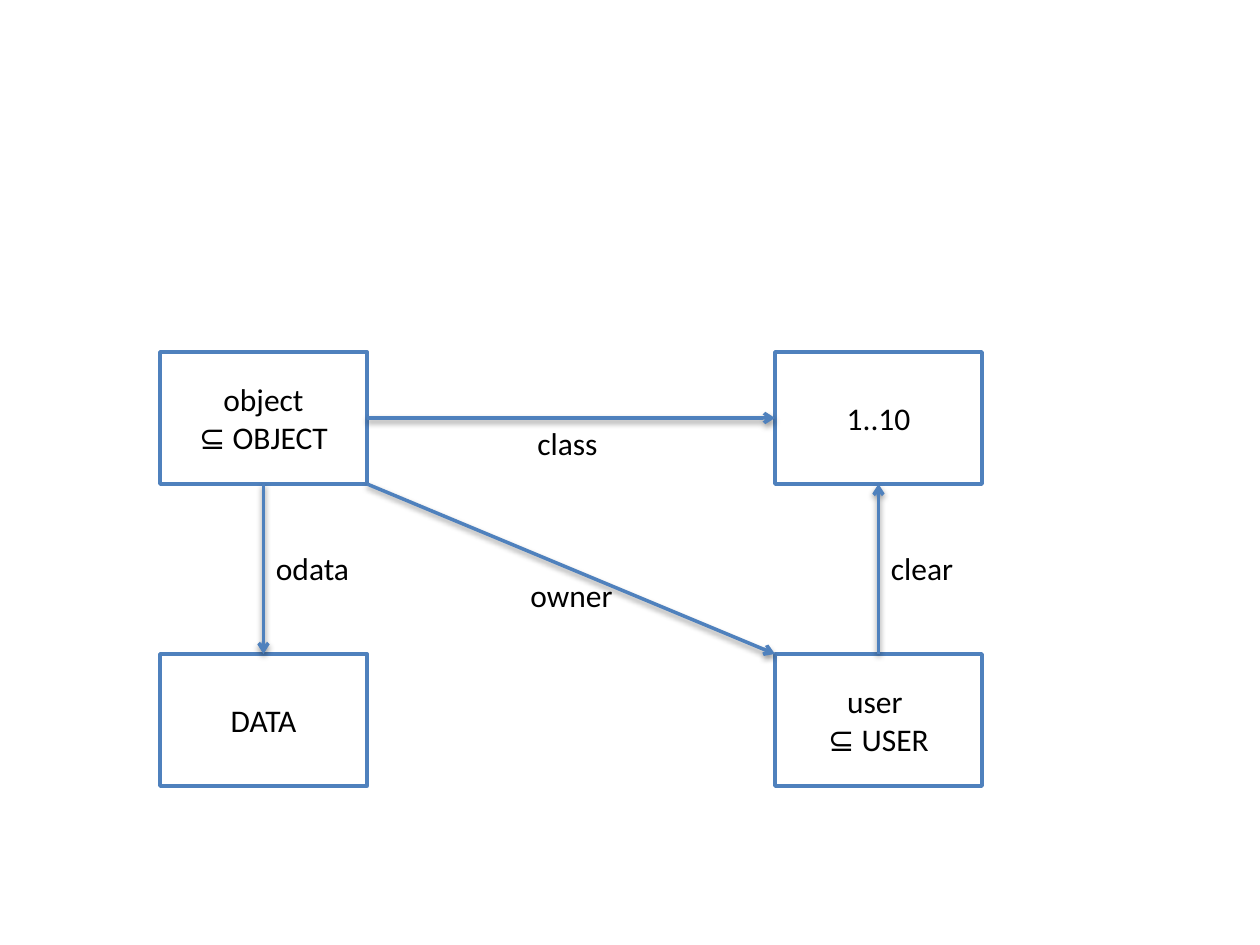
from lxml import etree
from pptx import Presentation
from pptx.dml.color import RGBColor
from pptx.enum.shapes import MSO_CONNECTOR, MSO_SHAPE
from pptx.enum.text import MSO_ANCHOR, MSO_AUTO_SIZE, PP_ALIGN
from pptx.oxml import parse_xml
from pptx.oxml.ns import qn
from pptx.util import Emu, Inches, Pt

RECT, STRAIGHT = MSO_SHAPE.RECTANGLE, MSO_CONNECTOR.STRAIGHT
MIDDLE, TOP = MSO_ANCHOR.MIDDLE, MSO_ANCHOR.TOP
CENTER, LEFT = PP_ALIGN.CENTER, PP_ALIGN.LEFT
FIT_SHAPE = MSO_AUTO_SIZE.SHAPE_TO_FIT_TEXT
BLUE = RGBColor(0x4F, 0x81, 0xBD)
WHITE = RGBColor(0xFF, 0xFF, 0xFF)
BLACK = RGBColor(0x00, 0x00, 0x00)
FONT = "Calibri"
SCALE = Inches(1) // 126
BOX_W, BOX_H = 207, 132
SHADOW = (
    '<a:effectLst xmlns:a="http://schemas.openxmlformats.org/drawingml/2006/main">'
    '<a:outerShdw blurRad="40000" dist="20000" dir="5400000" rotWithShape="0">'
    '<a:srgbClr val="000000"><a:alpha val="38000"/></a:srgbClr>'
    '</a:outerShdw></a:effectLst>'
)


def px(*lengths):
    """Turn picture pixels into EMU."""
    return [Emu(round(n * SCALE)) for n in lengths]


def write(tf, lines, align, anchor):
    """Fill a text frame with one paragraph per line."""
    tf.vertical_anchor = anchor
    for i, line in enumerate(lines):
        p = tf.paragraphs[0] if i == 0 else tf.add_paragraph()
        p.alignment = align
        r = p.add_run()
        r.text = line
        r.font.name, r.font.size = FONT, Pt(18)
        r.font.color.rgb = BLACK


def add_node(s, x, y, lines):
    """Draw an outlined box with centred text."""
    sp = s.shapes.add_shape(RECT, *px(x, y, BOX_W, BOX_H))
    sp.shadow.inherit = False
    sp.fill.solid()
    sp.fill.fore_color.rgb = WHITE
    sp.line.color.rgb = BLUE
    sp.line.width = Pt(2)
    write(sp.text_frame, lines, CENTER, MIDDLE)


def add_arrow(s, start, end):
    """Draw a shadowed arrow between two points."""
    sp = s.shapes.add_connector(STRAIGHT, *px(*start, *end))
    sp.line.color.rgb = BLUE
    sp.line.width = Pt(2)
    etree.SubElement(sp.line._get_or_add_ln(), qn("a:tailEnd"), type="arrow")
    sp._element.spPr.append(parse_xml(SHADOW))


def add_label(s, x, y, w, text, wrap):
    """Place the name of an arrow."""
    tf = s.shapes.add_textbox(*px(x, y, w, 50)).text_frame
    tf.word_wrap = wrap
    tf.auto_size = FIT_SHAPE
    write(tf, [text], LEFT, TOP)


def add_diagram(s, x, y, w, h):
    """Place four corner boxes and the relations between them."""
    right, bottom = x + w - BOX_W, y + h - BOX_H
    mid_left, mid_right = x + BOX_W / 2, right + BOX_W / 2
    edge, under, level = x + BOX_W, y + BOX_H, y + BOX_H / 2

    add_node(s, x, y, ["object", "⊆ OBJECT"])
    add_node(s, right, y, ["1..10"])
    add_node(s, x, bottom, ["DATA"])
    add_node(s, right, bottom, ["user ", "⊆ USER"])

    add_arrow(s, (edge, level), (right, level))
    add_arrow(s, (mid_right, bottom), (mid_right, under))
    add_arrow(s, (mid_left, under), (mid_left, bottom))
    add_arrow(s, (edge, under), (right, bottom))

    add_label(s, x + 365, level, 87, "class", False)
    add_label(s, mid_left, y + 191, 144, "odata", True)
    add_label(s, mid_right, y + 191, 144, "clear", True)
    add_label(s, x + 358, y + 218, 108, "owner", False)


prs = Presentation()
prs.slide_width, prs.slide_height = Inches(10), Inches(7.5)
s = prs.slides.add_slide(prs.slide_layouts[6])
add_diagram(s, 160, 352, 822, 434)
prs.save("out.pptx")
